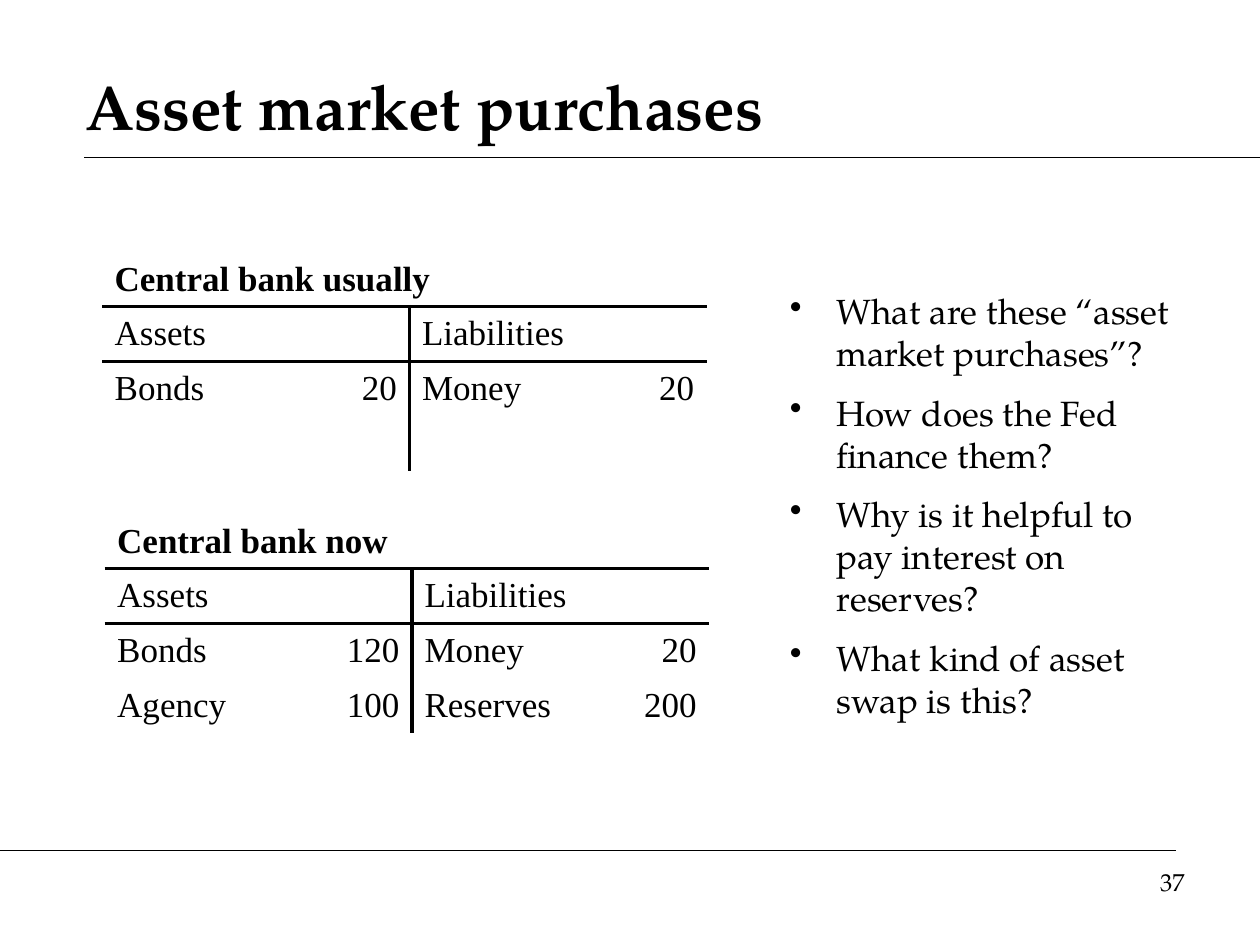
import pptx
import pptx.util
import pptx.dml.color
import pptx.enum.shapes
import pptx.enum.text
import pptx.oxml
import pptx.oxml.ns
import lxml.etree

INK = "000000"
SERIF, ROMAN = "TeX Gyre Pagella", "Times New Roman"
LEFT, RIGHT = pptx.enum.text.PP_ALIGN.LEFT, pptx.enum.text.PP_ALIGN.RIGHT
TOP, MIDDLE = pptx.enum.text.MSO_ANCHOR.TOP, pptx.enum.text.MSO_ANCHOR.MIDDLE

RULES = [(0.67, 10, 1.25), (0, 9.33, 6.75), (1.25, 10, 1.25), (0, 7.08, 6.75)]
QUESTIONS = [
    "What are these “asset market purchases”?",
    "How does the Fed finance them?",
    "Why is it helpful to pay interest on reserves?",
    "What kind of asset swap is this?",
]
TEXTS = [
    dict(place=(0.58, 0.42, 8.67, 0.83), lines=["Asset market purchases"], size=36, bold=True, anchor=MIDDLE),
    dict(place=(6.17, 2.25, 3.42, 3.67), lines=QUESTIONS, size=20, bullet="•", gap=10),
    dict(place=(7.17, 6.83, 2.33, 0.52), lines=["37"], size=14, align=RIGHT),
]
ROW = 0.41
HEADINGS = ["Assets", "", "Liabilities", ""]
SHEETS = [
    dict(corner=(0.81, 2), columns=[1.6, 0.84, 1.14, 1.22], rows=[
        ["Central bank usually", "", "", ""], HEADINGS,
        ["Bonds", "20", "Money", "20"], ["", "", "", ""]]),
    dict(corner=(0.83, 4.08), columns=[1.6, 0.84, 1.57, 0.79], rows=[
        ["Central bank now", "", "", ""], HEADINGS,
        ["Bonds", "120", "Money", "20"], ["Agency", "100", "Reserves", "200"]]),
]
MERGES = [(0, 0, 3), (1, 0, 1), (1, 2, 3)]


def color(value):
    return pptx.dml.color.RGBColor.from_string(value)


def inches(values):
    return [pptx.util.Inches(value) for value in values]


def apply(target, formats):
    for name, value in formats.items():
        setattr(target, name, value)


def write(para, text, font, size, bold=False, align=LEFT, before=0):
    apply(para, dict(alignment=align, space_before=pptx.util.Pt(before)))
    span = para.add_run() if text else para
    span.text = text
    apply(span.font, dict(name=font, size=pptx.util.Pt(size), bold=bold))
    span.font.color.rgb = color(INK)


def add_bullet(para, sign):
    properties = para._p.get_or_add_pPr()
    properties.set("marL", str(pptx.util.Inches(0.37)))
    properties.set("indent", str(-pptx.util.Inches(0.37)))
    lxml.etree.SubElement(properties, pptx.oxml.ns.qn("a:buChar")).set("char", sign)


def add_rule(page, start, end, level):
    rule = page.shapes.add_connector(
        pptx.enum.shapes.MSO_CONNECTOR.STRAIGHT, *inches([start, level, end, level]))
    rule.line.width = pptx.util.Pt(0.75)
    rule.line.color.rgb = color(INK)
    lxml.etree.SubElement(rule._element.spPr, pptx.oxml.ns.qn("a:effectLst"))


def add_text(page, place, lines, size, bold=False, align=LEFT, anchor=TOP, bullet=None, gap=0):
    frame = page.shapes.add_textbox(*inches(place)).text_frame
    apply(frame, dict(word_wrap=True, vertical_anchor=anchor))
    for index, line in enumerate(lines):
        para = frame.add_paragraph() if index else frame.paragraphs[0]
        write(para, line, SERIF, size, bold, align, gap if index else 0)
        if bullet:
            add_bullet(para, bullet)


def draw_edges(cell, drawn):
    properties = cell._tc.get_or_add_tcPr()
    for position, side in enumerate("LRTB"):
        paint = f'<a:solidFill><a:srgbClr val="{INK}"/></a:solidFill>' if side in drawn else "<a:noFill/>"
        edge = pptx.oxml.parse_xml(
            f'<a:ln{side} xmlns:a="http://schemas.openxmlformats.org/drawingml/2006/main"'
            f' w="{pptx.util.Pt(2.25)}">{paint}</a:ln{side}>')
        properties.insert(position, edge)


def edges_at(row, column):
    drawn = {0: "B", 1: "TB", 2: "T"}.get(row, "")
    if row:
        drawn += {1: "R", 2: "L"}.get(column, "")
    if row == 1 and column == 0:
        drawn += "R"
    return drawn


def add_sheet(page, corner, columns, rows):
    place = [*corner, sum(columns), ROW * len(rows)]
    table = page.shapes.add_table(len(rows), len(columns), *inches(place)).table
    apply(table, dict(first_row=False, horz_banding=False))
    for column, width in zip(table.columns, inches(columns)):
        column.width = width
    for row, texts in enumerate(rows):
        for column, text in enumerate(texts):
            cell = table.cell(row, column)
            cell.vertical_anchor = MIDDLE
            cell.fill.background()
            draw_edges(cell, edges_at(row, column))
            write(cell.text_frame.paragraphs[0], text, ROMAN, 20, row == 0,
                  RIGHT if column % 2 else LEFT)
    for row, first, last in MERGES:
        table.cell(row, first).merge(table.cell(row, last))


deck = pptx.Presentation()
deck.slide_width, deck.slide_height = inches([10, 7.5])
page = deck.slides.add_slide(deck.slide_layouts[6])
for rule in RULES:
    add_rule(page, *rule)
for text in TEXTS:
    add_text(page, **text)
for sheet in SHEETS:
    add_sheet(page, **sheet)
deck.save("out.pptx")
